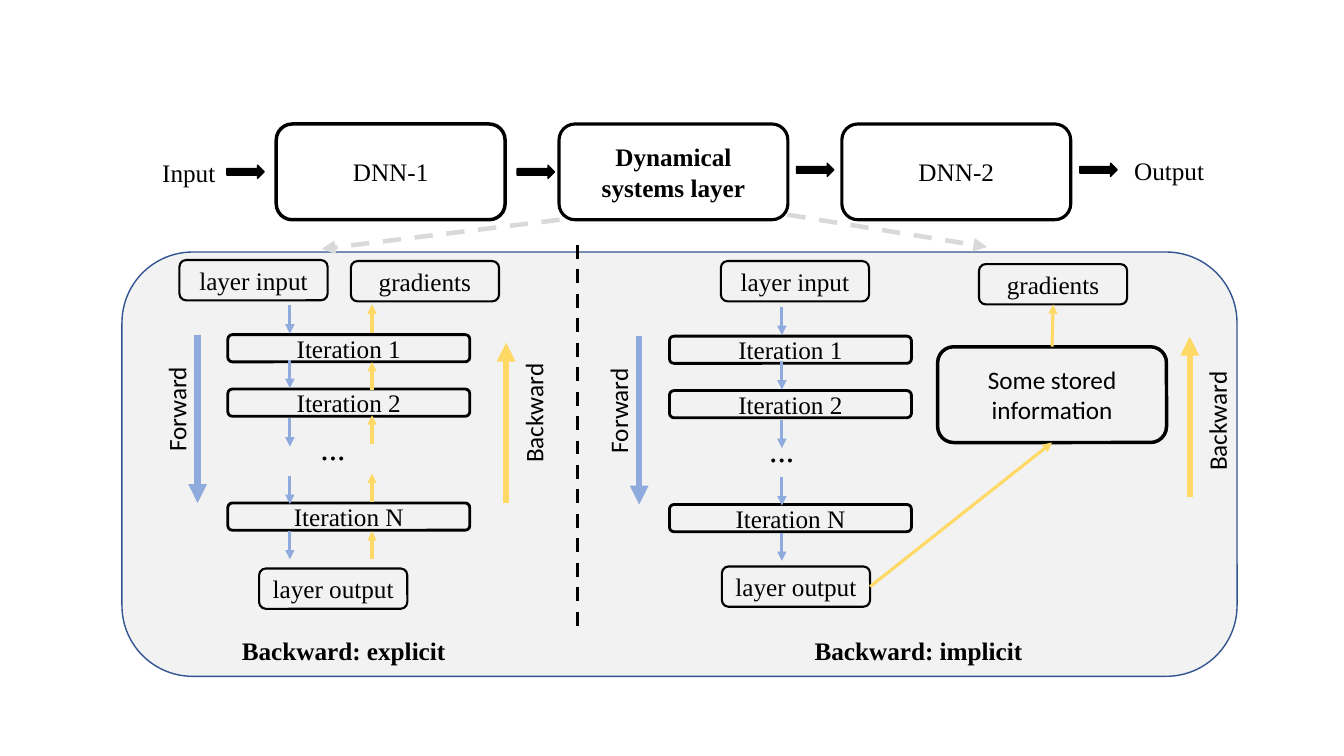
from dataclasses import dataclass

from lxml import etree
from pptx import Presentation
from pptx import util as u
from pptx.dml.color import RGBColor
from pptx.enum import dml, shapes, text
from pptx.oxml.ns import qn

# Grid: 133.3 columns by 75 rows of square cells
COLS, ROWS = 133.3, 75
CELL = u.Inches(0.1)

BLACK, BLUE, YELLOW, GREY = "000000", "8FAADC", "FFD966", "D9D9D9"
SERIF, SANS = "Times New Roman", "Calibri"
ROUND = shapes.MSO_SHAPE.ROUNDED_RECTANGLE
ARROW = shapes.MSO_SHAPE.RIGHT_ARROW

BLOCK = (22.7, 9.5)      # network blocks
STEP = (24, 2.7)         # iterations
TAG = (14.7, 4)          # layer input, layer output, gradients
HOP = 2.8                # length of a short arrow
FORWARD_TOPS = (30.3, 35.7, 41.5, 47.2, 52.7)
GRADIENT_TOPS = (30.2, 35.9, 41.2, 47, 52.7)
STEPS = (("Iteration 1", 33.2), ("Iteration 2", 38.6), ("Iteration N", 49.9))


@dataclass
class Panel:
    caption: str
    caption_at: tuple[float, float]
    shift: float                          # rows added to the iteration chain
    steps_x: float
    flow_x: float
    dots_x: float
    input_at: tuple[float, float]
    output_at: tuple[float, float]
    gradients_at: tuple[float, float]
    backward_x: float
    backward_end: float
    backward_label_y: float


PANELS = (
    Panel("Backward: explicit", (23, 22.4), 0, 22.6, 28.75, 30.8, (17.8, 25.8),
          (25.7, 56.4), (34.8, 25.9), 50.2, 34, 36.6),
    Panel("Backward: implicit", (79.8, 22.8), 0.15, 66.4, 77.55, 75.3, (71.5, 25.9),
          (71.6, 56.2), (97.1, 26.2), 118, 33.4, 37.4),
)

prs = Presentation()
prs.slide_width, prs.slide_height = int(COLS * CELL), ROWS * CELL
s = prs.slides.add_slide(prs.slide_layouts[6])


def grid(*cells: float) -> list[int]:
    return [round(c * CELL) for c in cells]


def color(value: str) -> RGBColor:
    return RGBColor.from_string(value)


def write(sp, words: str, *, size: float = 18, font: str = SERIF, bold: bool = False,
          align=text.PP_ALIGN.LEFT, anchor=text.MSO_ANCHOR.TOP, wrap: bool = True) -> None:
    tf = sp.text_frame
    tf.word_wrap, tf.vertical_anchor = wrap, anchor
    p = tf.paragraphs[0]
    p.alignment = align
    r = p.add_run()
    r.text = words
    r.font.size, r.font.name, r.font.bold = u.Pt(size), font, bold
    r.font.color.rgb = color(BLACK)


def shape(kind, x: float, y: float, w: float, h: float, line: float,
          fill: str | None = None, edge: str = BLACK):
    sp = s.shapes.add_shape(kind, *grid(x, y, w, h))
    sp.shadow.inherit = False
    if fill:
        sp.fill.solid()
        sp.fill.fore_color.rgb = color(fill)
    else:
        sp.fill.background()
    sp.line.color.rgb, sp.line.width = color(edge), u.Pt(line)
    return sp


def box(words: str, at: tuple[float, float], size: tuple[float, float], line: float, **fmt):
    sp = shape(ROUND, *at, *size, line)
    write(sp, words, align=text.PP_ALIGN.CENTER, anchor=text.MSO_ANCHOR.MIDDLE, **fmt)
    return sp


def label(words: str, x: float, y: float, w: float, h: float = 4, turn: int = 0, **fmt) -> None:
    sp = s.shapes.add_textbox(*grid(x, y, w, h))
    sp.rotation = turn
    write(sp, words, wrap=bool(turn), **fmt)
    sp.text_frame.auto_size = text.MSO_AUTO_SIZE.SHAPE_TO_FIT_TEXT


def connect(x1: float, y1: float, x2: float, y2: float, hue: str, width: float = 2.25,
            dashed: bool = False, head: bool = True):
    c = s.shapes.add_connector(shapes.MSO_CONNECTOR.STRAIGHT, *grid(x1, y1, x2, y2))
    c.line.color.rgb, c.line.width = color(hue), u.Pt(width)
    if dashed:
        c.line.dash_style = dml.MSO_LINE.DASH
    props = c.element.spPr
    if head:
        etree.SubElement(props.find(qn("a:ln")), qn("a:tailEnd"), type="triangle")
    etree.SubElement(props, qn("a:effectLst"))
    return c


def join(start, start_side: int, end, end_side: int) -> None:
    c = connect(0, 0, 1, 1, YELLOW)
    c.begin_connect(start, start_side)
    c.end_connect(end, end_side)


def draw_panel(panel: Panel):
    """Draw one iteration chain; return its output and gradients boxes."""
    dy = panel.shift
    for words, y in STEPS:
        box(words, (panel.steps_x, y + dy), STEP, 2)
    for y in FORWARD_TOPS:
        connect(panel.flow_x, y + dy, panel.flow_x, y + dy + HOP, BLUE)
    label("...", panel.dots_x, 41.9 + dy, 4.5, 5, size=24)

    # Long direction arrows with turned labels
    x = panel.steps_x - 3
    connect(x, 33.2 + dy, x, 49.9 + dy, BLUE, 4.5)
    label("Forward", x - 10.4, 35.5 + dy, 16.6, turn=270, font=SANS)
    x, end = panel.backward_x, panel.backward_end
    connect(x, end + 15.9, x, end, YELLOW, 4.5)
    label("Backward", x - 5.6, panel.backward_label_y, 16.6, turn=270, font=SANS)

    box("layer input", panel.input_at, TAG, 1.5)
    output = box("layer output", panel.output_at, TAG, 1.5)
    gradients = box("gradients", panel.gradients_at, TAG, 1.5)
    x, w = panel.caption_at
    label(panel.caption, x, 62.5, w, bold=True)
    return output, gradients


# Background and network row
shape(ROUND, 12.1, 25, 110.6, 42.1, 1, fill="F2F2F2", edge="325491")
for i, (words, line) in enumerate((("DNN-1", 2.5), ("Dynamical systems layer", 2.25),
                                   ("DNN-2", 2.25))):
    box(words, (27.4 + 28.05 * i, 12.3), BLOCK, line, bold=i == 1)
label("Input", 15.1, 15.1, 7.5)
label("Output", 111.5, 14.9, 9.4)
for x, y in ((22.5, 16.4), (51.3, 16.4), (79, 16.2), (107.1, 16.2)):
    shape(ARROW, x, y, 3.7, 1.3, 1, fill=BLACK)

# Explicit panel: gradients climb back through every iteration
explicit, implicit = PANELS
draw_panel(explicit)
for y in GRADIENT_TOPS:
    connect(36.9, y + HOP, 36.9, y, YELLOW)

# Implicit panel: gradients come from stored information
output, gradients = draw_panel(implicit)
stored = box("Some stored information", (93, 34.4), BLOCK, 2.5, font=SANS)
join(output, 3, stored, 2)
join(stored, 0, gradients, 2)

# Divider and zoom lines
connect(57.3, 24.3, 57.3, 62.7, BLACK, 2.5, dashed=True, head=False)
connect(55.5, 21.8, 31.9, 24.7, GREY, 3.25, dashed=True)
connect(78.1, 21.3, 97.9, 24.5, GREY, 3.25, dashed=True)

prs.save("out.pptx")
